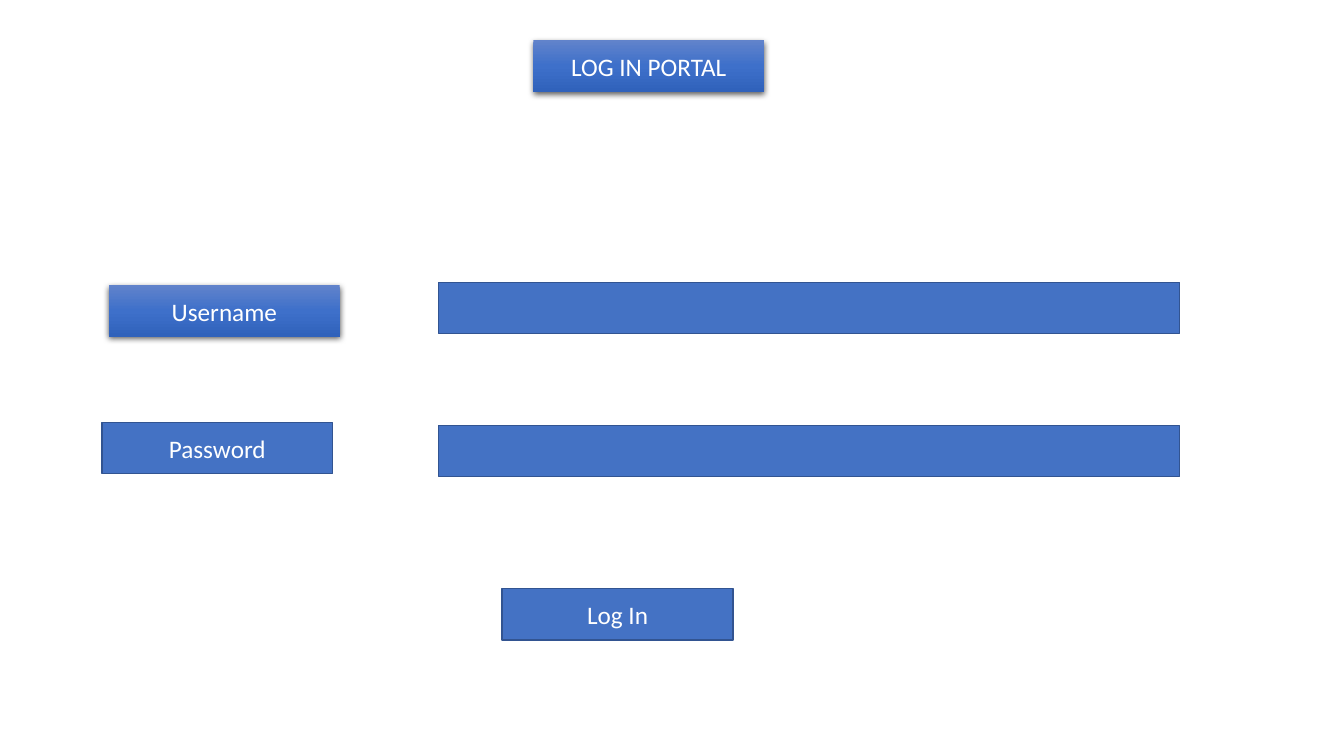
import copy

import lxml.etree
import pptx
import pptx.dml.color
import pptx.enum.shapes
import pptx.enum.text
import pptx.oxml.ns
import pptx.util
from pptx.util import Inches

BOX_HEIGHT = 0.51
LABEL_WIDTH = 2.29
FIELD_WIDTH = 7.35
FIELD_LEFT = 4.35


def rgb(value):
    return pptx.dml.color.RGBColor.from_string(value)


def format_box(box, text, raised):
    """Style a box: raised has a gradient and shadow, otherwise flat with an outline."""
    box.shadow.inherit = False
    if raised:
        box.fill.gradient()
        box.fill.gradient_angle = 270
        stop_list = box._element.spPr.find(".//" + pptx.oxml.ns.qn("a:gsLst"))
        stop_list.insert(1, copy.deepcopy(stop_list[0]))
        for stop, position, color in zip(
            box.fill.gradient_stops, (0, 0.5, 1), ("6183CB", "3E70CA", "3062BB")
        ):
            stop.position = position
            stop.color.rgb = rgb(color)
        box.line.fill.background()
        effects = box._element.spPr.find(pptx.oxml.ns.qn("a:effectLst"))
        effects.append(lxml.etree.fromstring(
            '<a:outerShdw xmlns:a="http://schemas.openxmlformats.org/drawingml/2006/main"'
            ' blurRad="57150" dist="19050" dir="5400000" algn="ctr" rotWithShape="0">'
            '<a:srgbClr val="000000"><a:alpha val="63000"/></a:srgbClr></a:outerShdw>'
        ))
    else:
        box.fill.solid()
        box.fill.fore_color.rgb = rgb("4472C4")
        box.line.color.rgb = rgb("325491")
        box.line.width = pptx.util.Pt(1)
    if text:
        frame = box.text_frame
        frame.text = text
        frame.word_wrap = True
        frame.auto_size = pptx.enum.text.MSO_AUTO_SIZE.NONE
        frame.vertical_anchor = pptx.enum.text.MSO_ANCHOR.MIDDLE
        paragraph = frame.paragraphs[0]
        paragraph.alignment = pptx.enum.text.PP_ALIGN.CENTER
        paragraph.font.name = "Calibri"
        paragraph.font.size = pptx.util.Pt(18)
        paragraph.font.color.rgb = rgb("FFFFFF")


presentation = pptx.Presentation()
presentation.slide_width = Inches(13.33)
presentation.slide_height = Inches(7.5)
slide = presentation.slides.add_slide(presentation.slide_layouts[5])

# Portal heading
heading = slide.shapes.title
heading.left, heading.top = Inches(5.29), Inches(0.4)
heading.width, heading.height = Inches(LABEL_WIDTH), Inches(BOX_HEIGHT)
format_box(heading, "LOG IN PORTAL", True)

# Labels, entry fields and button
for text, left, top, width, raised in (
    ("Password", 1.01, 4.19, LABEL_WIDTH, False),
    ("", FIELD_LEFT, 2.8, FIELD_WIDTH, False),
    ("", FIELD_LEFT, 4.22, FIELD_WIDTH, False),
    ("Log In", 4.98, 5.84, LABEL_WIDTH, False),
    ("Username", 1.08, 2.83, LABEL_WIDTH, True),
):
    form_box = slide.shapes.add_shape(
        pptx.enum.shapes.MSO_SHAPE.RECTANGLE,
        Inches(left), Inches(top), Inches(width), Inches(BOX_HEIGHT),
    )
    format_box(form_box, text, raised)

presentation.save("out.pptx")
